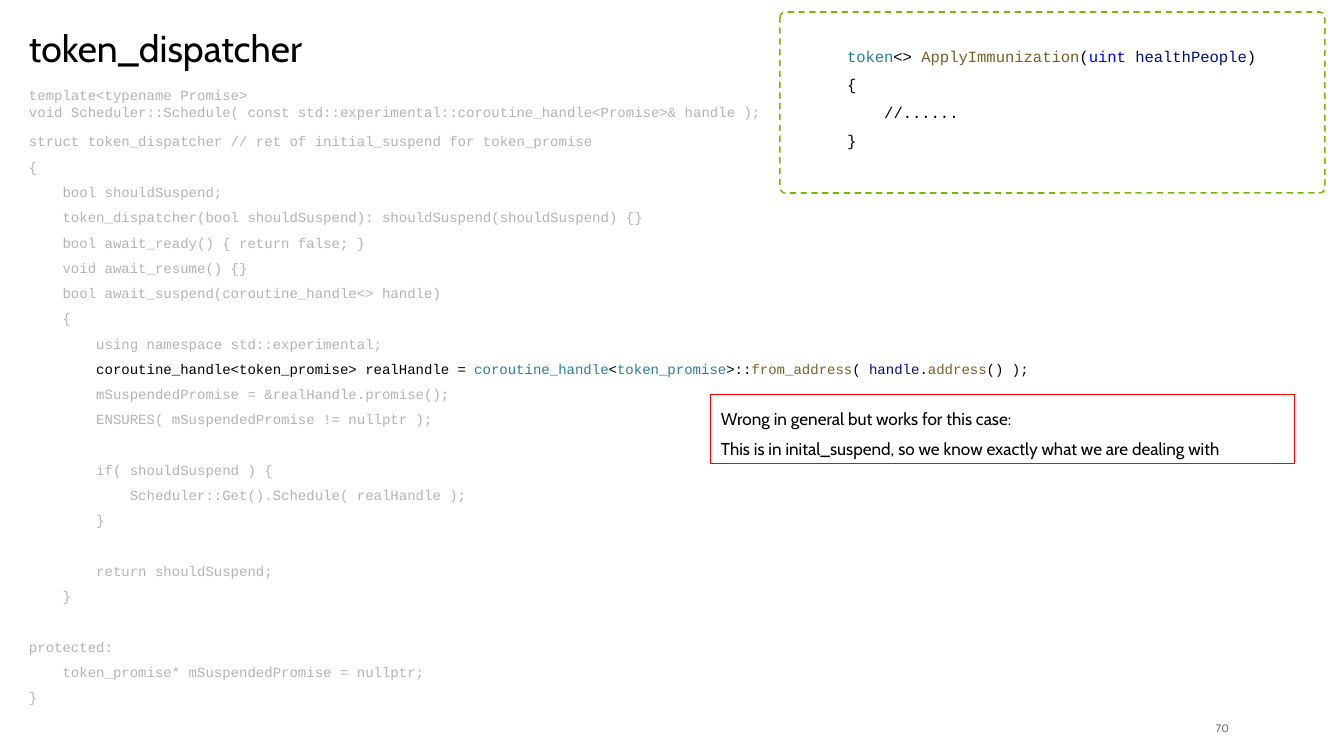
from copy import deepcopy
from pptx import Presentation, util as u
from pptx.dml.color import RGBColor
from pptx.enum import dml, shapes, text

PX = 914400 / 112
THEME = {
    "black": "000000", "muted": "B3B3B3", "number": "6E6E6E", "type": "267F99",
    "function": "795E26", "variable": "001080", "keyword": "0000FF",
    "warning": "FF0000", "frame": "76B900",
    "body_font": "Cabin", "code_font": "Courier New", "space_font": "TeX Gyre Adventor",
    "title_size": 24, "note_size": 11, "sample_size": 10, "code_size": 9, "number_size": 7,
}


def px(*lengths):
    return [u.Emu(round(length * PX)) for length in lengths]


def write(shape, lines, font, size, color, spacing=1.0, **frame_format):
    frame = shape.text_frame
    settings = {"word_wrap": True, "auto_size": text.MSO_AUTO_SIZE.NONE, **frame_format}
    for name, value in settings.items():
        setattr(frame, name, value)
    for index, line in enumerate(lines):
        paragraph = frame.paragraphs[0] if index == 0 else frame.add_paragraph()
        paragraph.line_spacing = spacing
        paragraph.alignment = text.PP_ALIGN.LEFT
        segments = [(line, color)] if isinstance(line, str) else line
        for content, segment_color in segments:
            starts_with_gap = content.startswith("\n")
            if starts_with_gap:
                paragraph.add_line_break()
            run = paragraph.add_run()
            run.text = content.lstrip("\n")
            for name, value in {"name": THEME[font], "size": u.Pt(THEME[size])}.items():
                setattr(run.font, name, value)
            run.font.color.rgb = RGBColor.from_string(THEME[segment_color])
            if starts_with_gap:
                paragraph._p[-2].append(deepcopy(run._r.rPr))


presentation = Presentation()
presentation.slide_width, presentation.slide_height = px(1344, 756)
slide = presentation.slides.add_slide(presentation.slide_layouts[6])

page_number = slide.shapes.add_textbox(*px(1194, 718, 39, 17))
write(page_number, ["70"], "body_font", "number_size", "number",
      vertical_anchor=text.MSO_ANCHOR.MIDDLE,
      margin_left=0, margin_top=0, margin_right=0, margin_bottom=0)
number_paragraph = page_number.text_frame.paragraphs[0]
number_paragraph.alignment = text.PP_ALIGN.RIGHT
trailing_space = number_paragraph.add_run()
trailing_space.text = " "
trailing_space.font.name = THEME["space_font"]
trailing_space.font.size = u.Pt(THEME["code_size"])

title = slide.shapes.add_textbox(*px(18, 24, 316, 52))
write(title, ["token_dispatcher"], "body_font", "title_size", "black", 0.9,
      vertical_anchor=text.MSO_ANCHOR.MIDDLE)

highlight = [
    ("        coroutine_handle<token_promise> realHandle = ", "black"),
    ("coroutine_handle", "type"), ("<", "black"), ("token_promise", "type"),
    (">::", "black"), ("from_address", "function"), ("( ", "black"),
    ("handle", "variable"), (".", "black"), ("address", "function"), ("() );", "black"),
]
dispatcher_code = [
    "struct token_dispatcher // ret of initial_suspend for token_promise",
    "{",
    "    bool shouldSuspend;",
    "    token_dispatcher(bool shouldSuspend): shouldSuspend(shouldSuspend) {}",
    "    bool await_ready() { return false; }",
    "    void await_resume() {}",
    "    bool await_suspend(coroutine_handle<> handle)",
    "    {",
    "        using namespace std::experimental;",
    highlight,
    "        mSuspendedPromise = &realHandle.promise();",
    "        ENSURES( mSuspendedPromise != nullptr );",
    "\n        if( shouldSuspend ) {",
    "            Scheduler::Get().Schedule( realHandle );",
    "        }",
    "\n        return shouldSuspend;",
    "    }",
    "\nprotected:",
    "    token_promise* mSuspendedPromise = nullptr;",
    "}",
]
dispatcher = slide.shapes.add_textbox(*px(18, 119, 1103, 594))
write(dispatcher, dispatcher_code, "code_font", "code_size", "muted", 1.5)

note = slide.shapes.add_shape(shapes.MSO_SHAPE.RECTANGLE, *px(710, 394, 584, 69))
write(note, [
    "Wrong in general but works for this case:",
    "This is in inital_suspend, so we know exactly what we are dealing with",
], "body_font", "note_size", "black", 1.5, vertical_anchor=text.MSO_ANCHOR.MIDDLE)

scheduler = slide.shapes.add_textbox(*px(18, 81, 755, 45))
write(scheduler, [
    "template<typename Promise>",
    "void Scheduler::Schedule( const std::experimental::coroutine_handle<Promise>& handle );",
], "code_font", "code_size", "muted")

sample_frame = slide.shapes.add_shape(
    shapes.MSO_SHAPE.ROUNDED_RECTANGLE, *px(780, 12, 545, 181))
sample_frame.adjustments[0] = 0.03
for outline, color, width in ((note, "warning", 0.5), (sample_frame, "frame", 1)):
    outline.shadow.inherit = False
    outline.fill.background()
    outline.line.color.rgb = RGBColor.from_string(THEME[color])
    outline.line.width = u.Pt(width)
sample_frame.line.dash_style = dml.MSO_LINE.DASH

signature = [
    ("token", "type"), ("<> ", "black"), ("ApplyImmunization", "function"),
    ("(", "black"), ("uint ", "keyword"), ("healthPeople", "variable"), (")", "black"),
]
sample = slide.shapes.add_textbox(*px(836, 32, 435, 121))
write(sample, [signature, "{", "    //......", "}"],
      "code_font", "sample_size", "black", 1.5)

presentation.save("out.pptx")
